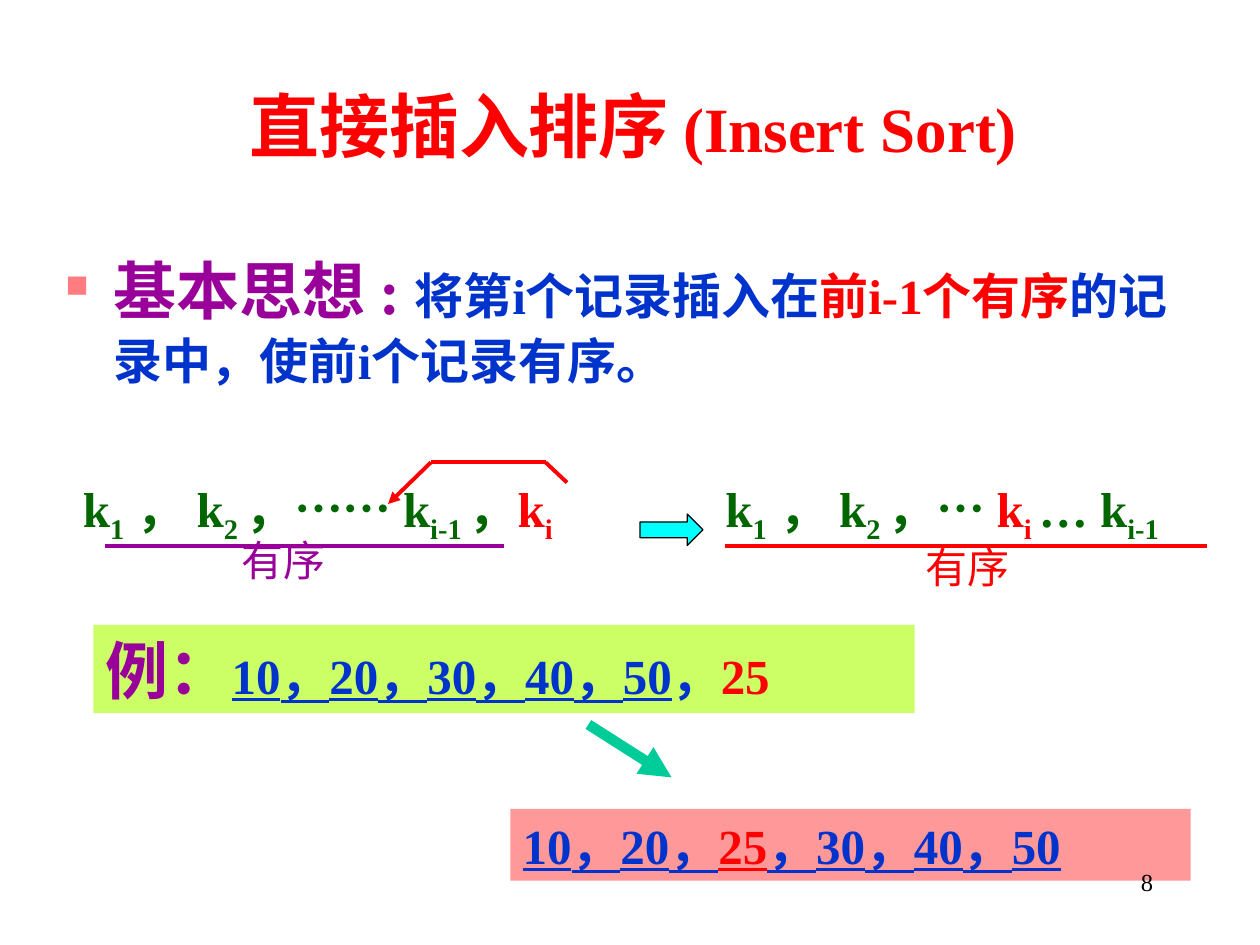
from dataclasses import dataclass

from lxml import etree
from pptx import Presentation
from pptx import util as u
from pptx.dml.color import RGBColor
from pptx.enum import shapes, text
from pptx.oxml.ns import qn

PX = 9144  # 100 px to the inch


@dataclass(frozen=True)
class Theme:
    face: str = "Times New Roman"
    han: str = "Noto Sans CJK SC"
    red: str = "FF0000"
    blue: str = "0033CC"
    green: str = "006600"
    plum: str = "990099"
    cyan: str = "00FFFF"
    teal: str = "00CC99"
    lime: str = "CCFF66"
    pink: str = "FF9999"
    rose: str = "FF7C80"
    black: str = "000000"
    title: int = 40
    head: int = 36
    mid: int = 32
    main: int = 28
    note: int = 24
    page: int = 14


T = Theme()


@dataclass(frozen=True)
class Run:
    words: str
    color: str
    size: int = T.main
    sub: bool = False
    line: bool = False
    face: str = ""


@dataclass(frozen=True)
class Box:
    left: int
    top: int
    width: int
    height: int
    runs: tuple[Run, ...]
    fill: str = ""
    bold: bool = True
    wrap: bool = False
    right: bool = False
    bullet: bool = False


@dataclass(frozen=True)
class Line:
    x1: int
    y1: int
    x2: int
    y2: int
    color: str
    width: float = 2.25
    arrow: bool = False


def key(name: str, low: str, color: str = T.green) -> tuple[Run, ...]:
    """A record key with its subscript."""
    return Run(name, color), Run(low, color, sub=True)


def add_mark(para) -> None:
    """Hanging square bullet."""
    prop = para._p.get_or_add_pPr()
    prop.set("marL", str(38 * PX))
    prop.set("indent", str(-38 * PX))
    tint = etree.SubElement(prop, qn("a:buClr"))
    etree.SubElement(tint, qn("a:srgbClr"), val=T.rose)
    etree.SubElement(prop, qn("a:buSzPct"), val="50000")
    etree.SubElement(prop, qn("a:buChar"), char="■")
    para.line_spacing = 1.05


def add_box(slide, box: Box) -> None:
    area = [n * PX for n in (box.left, box.top, box.width, box.height)]
    if box.fill:
        shape = slide.shapes.add_shape(shapes.MSO_SHAPE.RECTANGLE, *area)
        shape.shadow.inherit = False
        shape.fill.solid()
        shape.fill.fore_color.rgb = RGBColor.from_string(box.fill)
        shape.line.fill.background()
    else:
        shape = slide.shapes.add_textbox(*area)
    frame = shape.text_frame
    frame.word_wrap = box.wrap
    frame.vertical_anchor = text.MSO_ANCHOR.TOP
    if not box.wrap:
        frame.auto_size = text.MSO_AUTO_SIZE.SHAPE_TO_FIT_TEXT
    para = frame.paragraphs[0]
    para.alignment = text.PP_ALIGN.RIGHT if box.right else text.PP_ALIGN.LEFT
    if box.bullet:
        add_mark(para)
    para.font.name = T.face
    para.font.bold = box.bold
    for item in box.runs:
        run = para.add_run()
        run.text = item.words
        run.font.size = u.Pt(item.size)
        run.font.color.rgb = RGBColor.from_string(item.color)
        if item.face:
            run.font.name = item.face
        if item.line:
            run.font.underline = True
        if item.sub:
            run._r.get_or_add_rPr().set("baseline", "-25000")


def add_line(slide, line: Line) -> None:
    ends = [n * PX for n in (line.x1, line.y1, line.x2, line.y2)]
    link = slide.shapes.add_connector(shapes.MSO_CONNECTOR.STRAIGHT, *ends)
    link.line.color.rgb = RGBColor.from_string(line.color)
    link.line.width = u.Pt(line.width)
    if line.arrow:
        etree.SubElement(link.line._get_or_add_ln(), qn("a:tailEnd"), type="triangle")
    etree.SubElement(link._element.spPr, qn("a:effectLst"))


def add_block(slide) -> None:
    """Block arrow from the old order to the new one."""
    area = [n * PX for n in (508, 408, 50, 25)]
    block = slide.shapes.add_shape(shapes.MSO_SHAPE.RIGHT_ARROW, *area)
    block.shadow.inherit = False
    block.fill.solid()
    block.fill.fore_color.rgb = RGBColor.from_string(T.cyan)
    block.line.color.rgb = RGBColor.from_string(T.black)
    block.line.width = u.Pt(0.75)


START = (*key("k", "1"), *key(" ， k", "2 "))

BOXES = (
    # Idea and title
    Box(42, 192, 917, 125, (
        Run("基本思想 :", T.plum, T.head), Run(" ", T.green, T.mid),
        Run("将第i个记录插入在", T.blue), Run("前i-1个有序", T.red),
        Run("的记录中，使前i个记录有序。", T.blue)), wrap=True, bullet=True),
    Box(188, 61, 655, 77, (
        Run("直接插入排序", T.red, T.title, face=T.han),
        Run(" ", T.red, T.head, face=T.han),
        Run("(Insert Sort)", T.red, T.head))),
    # Keys before and after the insertion
    Box(56, 375, 464, 63, (
        *START, *key("，…… k", "i-1 "), Run("，", T.green),
        *key("k", "i", T.red))),
    Box(566, 375, 410, 63, (
        *START, Run("，… ", T.green), *key("k", "i ", T.red),
        *key("… k", "i-1"))),
    Box(182, 419, 90, 50, (Run("有序", T.plum, T.note),), bold=False),
    Box(725, 425, 90, 50, (Run("有序", T.red, T.note),), bold=False),
    # Worked example
    Box(74, 496, 652, 70, (
        Run("例：", T.plum, T.head),
        Run("10，20，30，40，50", T.blue, line=True),
        Run("，", T.blue), Run("25", T.red)), fill=T.lime),
    Box(405, 642, 540, 57, (
        Run("10，20，", T.blue, line=True), Run("25", T.red, line=True),
        Run("，30，40，50", T.blue, line=True)), fill=T.pink),
    # Page number
    Box(717, 683, 208, 50, (Run("8", T.black, T.page),),
        bold=False, wrap=True, right=True),
)

LINES = (
    # Sorted ranges
    Line(83, 433, 400, 433, T.plum),
    Line(575, 433, 958, 433, T.red),
    # Path of the inserted key
    Line(450, 383, 433, 367, T.red),
    Line(433, 367, 342, 367, T.red),
    Line(342, 367, 308, 400, T.red, arrow=True),
    # Example step
    Line(467, 575, 533, 617, T.teal, 6, True),
)


def main() -> None:
    deck = Presentation()
    deck.slide_width, deck.slide_height = 1000 * PX, 750 * PX
    slide = deck.slides.add_slide(deck.slide_layouts[6])
    for box in BOXES:
        add_box(slide, box)
    for line in LINES:
        add_line(slide, line)
    add_block(slide)
    deck.save("out.pptx")


if __name__ == "__main__":
    main()
